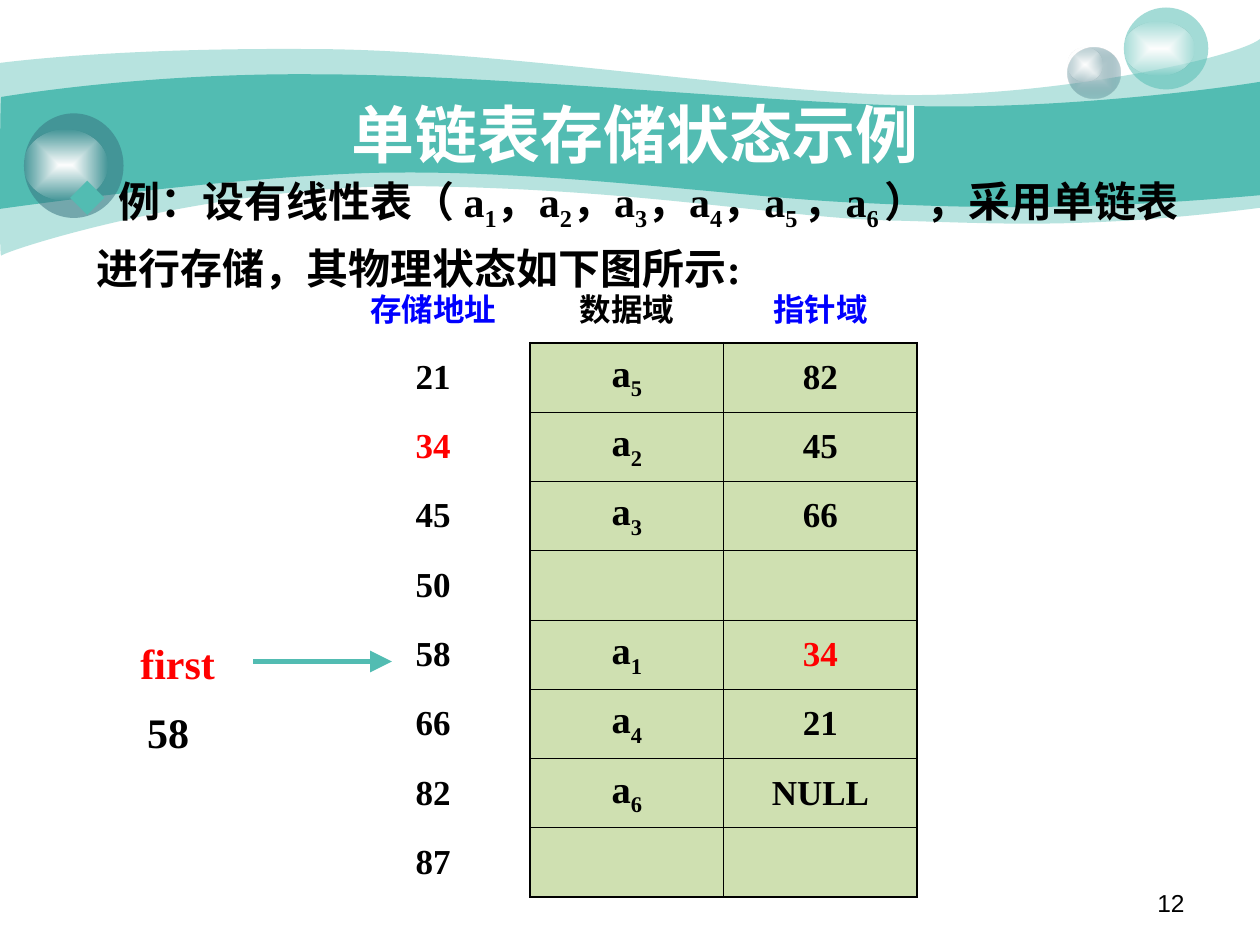
from lxml import etree
from pptx import Presentation, util as u
from pptx.dml.color import RGBColor
from pptx.enum import shapes as s, text as t
from pptx.oxml import parse_xml
from pptx.oxml.ns import nsdecls, qn

THEME = dict(teal="52BCB2", slate="37737F", mist="CCDBDE", white="FFFFFF",
             black="000000", blue="0000FF", red="FF0000", green="A0C264",
             serif="Times New Roman", sans="Arial", marks="Wingdings",
             title=36, body=24, sub=22, cell=20, head=18, page=14,
             thick=1.08, thin=0.45)

TITLE = "单链表存储状态示例"
# Digits after "_" up to the next "|" are set as subscripts.
INTRO = (" 例：设有线性表（ a_1|，a_2|，a_3|，a_4|，a_5 |，a_6 |"
         "），采用单链表进行存储，其物理状态如下图所示:")
HEADS = [("存储地址", "blue"), ("数据域", "black"), ("指针域", "blue")]
ROWS = [("21", "a_5", "82"), ("34", "a_2", "45"), ("45", "a_3", "66"),
        ("50", "", ""), ("58", "a_1", "34"), ("66", "a_4", "21"),
        ("82", "a_6", "NULL"), ("87", "", "")]
KEY = "34"

# Each band: fill alpha, start point, then curves (3 points) and lines (1).
BANDS = [
    (41, (0, 0.5), [
        [(0.24, 0.47), (1.07, 0.38), (2.47, 0.39)],
        [(3.86, 0.39), (5.75, 0.7), (6.99, 0.75)],
        [(8.22, 0.8), (9.8, 0.47), (10, 0.31)],
        [(10, 1.65)],
        [(8.58, 1.83), (7.87, 1.77), (7.05, 1.75)],
        [(6.22, 1.73), (5.15, 1.51), (3.43, 1.48)],
        [(1.72, 1.44), (0.04, 1.99), (0.01, 2.03)],
        [(-0.01, 2.08), (0, 0.75), (0, 0.5)]]),
    (100, (0.01, 0.77), [
        [(0.02, 0.77), (1.1, 0.58), (2.48, 0.59)],
        [(3.86, 0.59), (5.95, 0.8), (7.18, 0.84)],
        [(8.41, 0.88), (9.76, 0.69), (10, 0.65)],
        [(10, 1.55)],
        [(8.53, 1.68), (7.65, 1.65), (6.82, 1.61)],
        [(5.99, 1.58), (4.47, 1.36), (3.17, 1.37)],
        [(2.03, 1.37), (-0.02, 1.66), (-0.01, 1.66)],
        [(0, 1.66), (0, 0.77), (0.01, 0.77)]]),
]
GLOW = [("white", 100), ("white", 0)]
# Place and colour stops; one stop is a plain fill.
BALLS = [((8.47, 0.38, 0.42, 0.4), [("mist", 100), ("slate", 31)]),
         ((8.47, 0.38, 0.28, 0.27), GLOW),
         ((8.92, 0.06, 0.67, 0.65), [("teal", 53)]),
         ((8.92, 0.17, 0.56, 0.43), GLOW),
         ((0.19, 0.9, 0.79, 0.83), [("slate", 53)]),
         ((0.19, 1.03, 0.66, 0.56), GLOW)]


def color(name):
    return RGBColor.from_string(THEME[name])


def inches(nums):
    return [u.Inches(n) for n in nums]


def fade(fill, alpha):
    clr = fill._xPr.find(qn("a:solidFill"))[0]
    etree.SubElement(clr, qn("a:alpha")).set("val", str(alpha * 1000))


def paint(shape, stops):
    """Fill with one colour, or with a gradient running out from the centre."""
    shape.shadow.inherit = False
    shape.line.fill.background()
    shape.fill.solid()
    shape.fill.fore_color.rgb = color(stops[0][0])
    if len(stops) == 1:
        if stops[0][1] < 100:
            fade(shape.fill, stops[0][1])
        return
    marks = "".join(
        f'<a:gs pos="{i * 100000}"><a:srgbClr val="{THEME[name]}">'
        f'<a:alpha val="{alpha * 1000}"/></a:srgbClr></a:gs>'
        for i, (name, alpha) in enumerate(stops))
    grad = parse_xml(
        f'<a:gradFill {nsdecls("a")} rotWithShape="1"><a:gsLst>{marks}</a:gsLst>'
        '<a:path path="rect"><a:fillToRect l="50000" t="50000" r="50000" '
        'b="50000"/></a:path></a:gradFill>')
    old = shape._element.spPr.find(qn("a:solidFill"))
    old.getparent().replace(old, grad)


def wave(slide, start, parts):
    """Outline all points with lines, then join each three into a curve."""
    pts = [inches(p) for part in parts for p in part]
    pen = slide.shapes.build_freeform(*inches(start), scale=1.0)
    pen.add_line_segments(pts, close=True)
    shape = pen.convert_to_shape()
    legs = iter(list(shape._element.iter(qn("a:lnTo"))))
    for part in parts:
        group = [next(legs) for _ in part]
        if len(group) == 3:
            curve = etree.Element(qn("a:cubicBezTo"))
            group[0].addprevious(curve)
            for leg in group:
                curve.append(leg[0])
                leg.getparent().remove(leg)
    return shape


def write(para, words, size, ink, font="serif", bold=True, align="CENTER"):
    para.alignment = getattr(t.PP_ALIGN, align)
    for chunk in words.split("|"):
        for i, part in enumerate(chunk.split("_")):
            run = para.add_run()
            run.text = part
            run.font.size = u.Pt(THEME[size])
            run.font.name = THEME[font]
            run.font.bold = bold
            run.font.color.rgb = color(ink)
            if i:
                run.font._element.set("baseline", "-25000")


def label(slide, box, words, size, ink, anchor="TOP", **look):
    frame = slide.shapes.add_textbox(*inches(box)).text_frame
    frame.word_wrap = True
    frame.vertical_anchor = getattr(t.MSO_ANCHOR, anchor)
    write(frame.paragraphs[0], words, size, ink, **look)
    return frame.paragraphs[0]


def bullet(para):
    """Hang a diamond, which is the letter u in the symbol font."""
    props = para._p.get_or_add_pPr()
    hang = u.Inches(0.24)
    props.set("marL", str(hang))
    props.set("indent", str(-hang))
    clr = etree.SubElement(props, qn("a:buClr"))
    etree.SubElement(clr, qn("a:srgbClr")).set("val", THEME["teal"])
    font = etree.SubElement(props, qn("a:buFont"))
    font.set("typeface", THEME["marks"])
    font.set("charset", "2")
    etree.SubElement(props, qn("a:buChar")).set("char", "u")


def border(cell, edges):
    props = cell._tc.get_or_add_tcPr()
    for i, (side, width) in enumerate(edges):
        props.insert(i, parse_xml(
            f'<a:ln{side} {nsdecls("a")} w="{u.Pt(THEME[width])}"><a:solidFill>'
            f'<a:srgbClr val="{THEME["black"]}"/></a:solidFill></a:ln{side}>'))


def memory(slide):
    """Draw the table of addresses, data and pointers."""
    count = len(ROWS) + 1
    grid = slide.shapes.add_table(
        count, 3, *inches((2.67, 2.17, 4.61, 0.55 * count))).table
    grid.first_row = grid.horz_banding = False
    # The built-in style with neither fill nor grid.
    style = grid._tbl.tblPr.find(qn("a:tableStyleId"))
    style.text = "{2D5ABB26-0587-4C30-8999-92F81FD0307C}"
    for r in range(count):
        for c in range(3):
            cell = grid.cell(r, c)
            cell.vertical_anchor = t.MSO_ANCHOR.MIDDLE
            para = cell.text_frame.paragraphs[0]
            if r == 0:
                words, ink = HEADS[c]
                write(para, words, "head", ink)
            elif ROWS[r - 1][c]:
                words = ROWS[r - 1][c]
                write(para, words, "sub" if c == 1 else "cell",
                      "red" if words == KEY else "black")
            if r and c:
                cell.fill.solid()
                cell.fill.fore_color.rgb = color("green")
                fade(cell.fill, 50)
                outer = (("L", c == 1), ("R", c == 2),
                         ("T", r == 1), ("B", r == count - 1))
                border(cell, [(side, "thick" if out else "thin")
                              for side, out in outer])
            else:
                cell.fill.background()
                if c:
                    border(cell, [("B", "thick")])


def arrow(slide, ends):
    line = slide.shapes.add_connector(s.MSO_CONNECTOR.STRAIGHT, *inches(ends))
    line.line.color.rgb = color("teal")
    line.line.width = u.Pt(2.5)
    tip = etree.SubElement(line.line._get_or_add_ln(), qn("a:tailEnd"))
    for key, val in (("type", "triangle"), ("w", "lg"), ("len", "lg")):
        tip.set(key, val)
    etree.SubElement(line._element.spPr, qn("a:effectLst"))


def main():
    deck = Presentation()
    deck.slide_width, deck.slide_height = inches((10, 7.5))
    slide = deck.slides.add_slide(deck.slide_layouts[6])
    for alpha, start, parts in BANDS:
        paint(wave(slide, start, parts), [("teal", alpha)])
    for box, stops in BALLS:
        paint(slide.shapes.add_shape(s.MSO_SHAPE.OVAL, *inches(box)), stops)
    label(slide, (7.17, 7, 2.33, 0.35), "12", "page", "black",
          font="sans", bold=False, align="RIGHT")
    intro = label(slide, (0.43, 1.25, 9.21, 1.13), INTRO, "body", "black",
                  align="LEFT")
    intro.line_spacing = 1.2
    bullet(intro)
    memory(slide)
    label(slide, (0.9, 5.56, 0.87, 0.5), "58", "body", "black")
    label(slide, (0.94, 5.01, 0.94, 0.5), "first", "body", "red")
    label(slide, (1, 0.75, 8.08, 0.62), TITLE, "title", "white", "MIDDLE")
    arrow(slide, (2.01, 5.25, 3.11, 5.25))
    deck.save("out.pptx")


if __name__ == "__main__":
    main()
